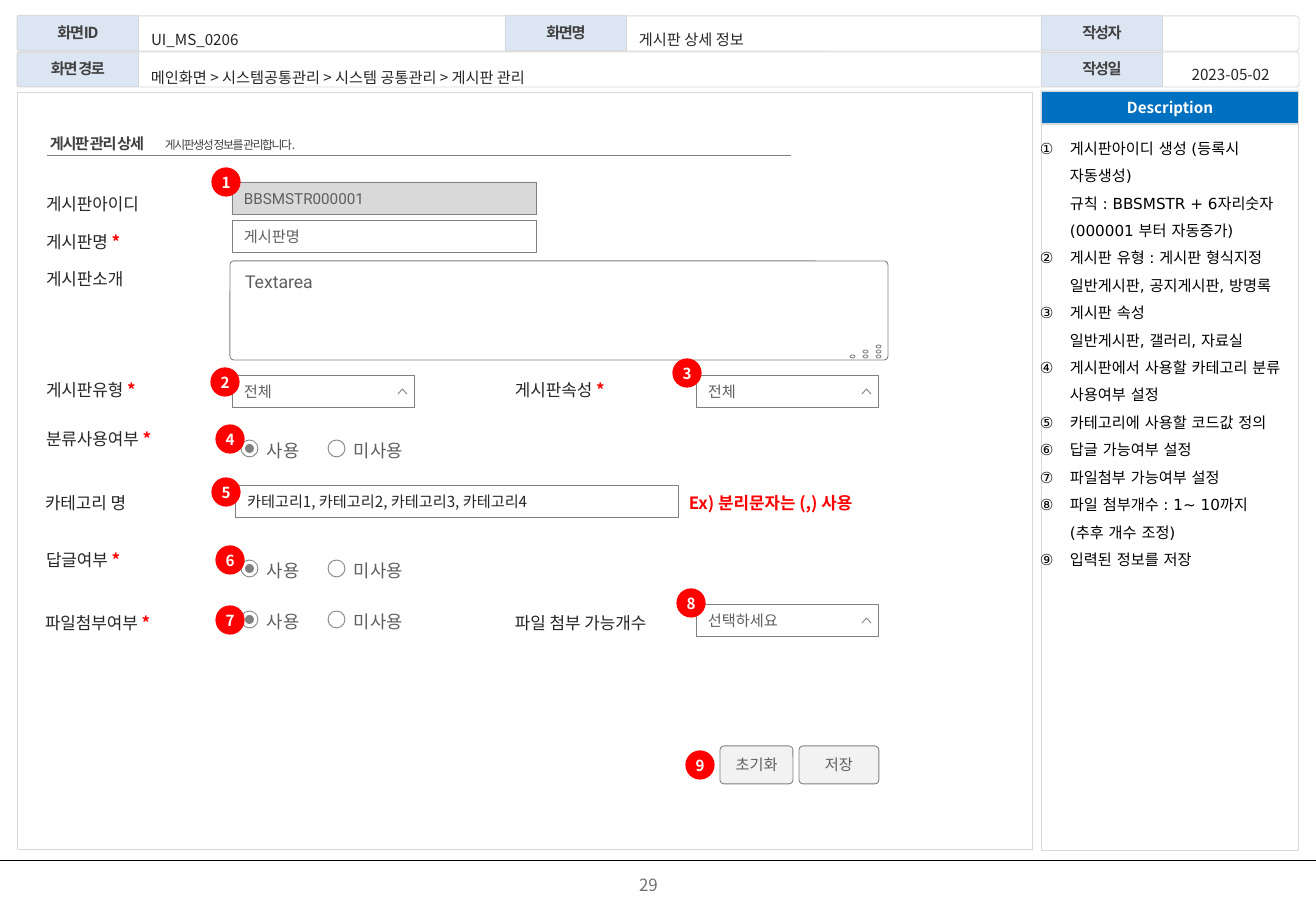
"""Build the board detail screen specification slide."""
from lxml.etree import SubElement
from pptx import Presentation
from pptx.dml.color import RGBColor
from pptx.enum.shapes import MSO_CONNECTOR, MSO_SHAPE
from pptx.enum.text import MSO_ANCHOR, PP_ALIGN
from pptx.oxml.ns import qn
from pptx.util import Emu, Pt

SCALE = 914400 / 121.5
KR, ROBOTO, DEJAVU = "Noto Sans CJK KR", "Roboto", "DejaVu Sans"
C = dict(black="000000", white="FFFFFF", red="FF0000", blue="0070C0", pale="DCE6F2",
         frame="D9D9D9", border="808080", button="F2F2F2", ink="262626",
         head="404040", field="5F5F5F", page="717171")

HEADERS = [("화면ID", 17, 16), ("화면명", 505, 16), ("작성자", 1041, 16),
           ("화면 경로", 17, 52), ("작성일", 1041, 52)]
VALUES = [("UI_MS_0206", 141, 16, 363), ("게시판 상세 정보", 629, 16, 412),
          ("메인화면 > 시스템공통관리 > 시스템 공통관리 > 게시판 관리", 141, 54, 899)]
LABELS = [("게시판아이디", 46, 179), ("게시판명 *", 46, 217), ("게시판소개", 46, 254),
          ("게시판유형 *", 46, 365), ("게시판속성 *", 515, 365), ("분류사용여부 *", 46, 414),
          ("카테고리 명", 45, 478), ("답글여부 *", 46, 535), ("파일첨부여부 *", 45, 598),
          ("파일 첨부 가능개수", 515, 598)]
INPUTS = [("BBSMSTR000001", 232, 182, 305, "frame", "field", ROBOTO),
          ("게시판명", 232, 220, 305, "white", "field", ROBOTO),
          ("카테고리1, 카테고리2, 카테고리3, 카테고리4", 235, 485, 443, "white", "ink", KR)]
SELECTS = [("전체", 232, 375), ("전체", 696, 375), ("선택하세요", 696, 604)]
RADIO_ROWS = [440, 560, 611]
OPTIONS = [("사용", 241, True), ("미사용", 328, False)]
BUTTONS = [("초기화", 720, 73), ("저장", 799, 80)]
BADGES = [(212, 168), (211, 368), (673, 359), (216, 425), (212, 478),
          (216, 546), (216, 606), (677, 589), (686, 751)]
DESCRIPTION = [
    "게시판아이디 생성 (등록시 자동생성)\n규칙 : BBSMSTR + 6자리숫자 (000001 부터 자동증가)",
    "게시판 유형 : 게시판 형식지정\n일반게시판, 공지게시판, 방명록",
    "게시판 속성\n일반게시판, 갤러리, 자료실",
    "게시판에서 사용할 카테고리 분류 사용여부 설정",
    "카테고리에 사용할 코드값 정의",
    "답글 가능여부 설정",
    "파일첨부 가능여부 설정",
    "파일 첨부개수 : 1~ 10까지\n(추후 개수 조정)",
    "입력된 정보를 저장",
]

prs = Presentation()
prs.slide_width, prs.slide_height = Emu(round(1316 * SCALE)), Emu(round(911 * SCALE))
s = prs.slides.add_slide(prs.slide_layouts[6])


def px(*vals):
    return [Emu(round(v * SCALE)) for v in vals]


def rgb(name):
    return RGBColor.from_string(C[name])


def paint(sp, fill=None, line=None, width=0.5):
    sp.shadow.inherit = False
    if fill:
        sp.fill.solid()
        sp.fill.fore_color.rgb = rgb(fill)
    else:
        sp.fill.background()
    if line:
        sp.line.color.rgb = rgb(line)
        sp.line.width = Pt(width)
    else:
        sp.line.fill.background()
    return sp


def shape(kind, x, y, w, h, fill=None, line=None, adj=None, width=0.5):
    sp = s.shapes.add_shape(kind, *px(x, y, w, h))
    if adj is not None:
        sp.adjustments[0] = adj
    return paint(sp, fill, line, width)


def box(x, y, w, h):
    return s.shapes.add_textbox(*px(x, y, w, h))


def write(sp, text, size=9, font=KR, color="ink", bold=False, align=PP_ALIGN.LEFT,
          spacing=None, after=0, track=None, anchor=MSO_ANCHOR.MIDDLE, wrap=False,
          inset=(0, 0, 0, 0), numbered=False):
    tf = sp.text_frame
    tf.word_wrap, tf.vertical_anchor = wrap, anchor
    tf.margin_left, tf.margin_top, tf.margin_right, tf.margin_bottom = px(*inset)
    for i, item in enumerate([text] if isinstance(text, str) else text):
        p = tf.add_paragraph() if i else tf.paragraphs[0]
        p.alignment, p.line_spacing, p.space_after = align, spacing, Pt(after)
        if numbered:
            pPr = p._p.get_or_add_pPr()
            indent = px(30)[0]
            pPr.set("marL", str(indent))
            pPr.set("indent", str(-indent))
            SubElement(pPr, qn("a:buAutoNum"), type="circleNumDbPlain")
        label, star, _ = item.partition(" *")
        for j, line in enumerate(label.split("\n") + ([star] if star else [])):
            required = bool(star) and line == star
            if j and not required:
                p.add_line_break()
            r = p.add_run()
            r.text = line
            r.font.size, r.font.name = Pt(size), font
            r.font.bold = bold or required
            r.font.color.rgb = rgb("red" if required else color)
            rPr = r._r.get_or_add_rPr()
            SubElement(rPr, qn("a:ea"), typeface=font)
            if track:
                rPr.set("spc", str(track))


def rule(x1, x2, y, color):
    cn = s.shapes.add_connector(MSO_CONNECTOR.STRAIGHT, *px(x1, y, x2, y))
    cn.line.color.rgb, cn.line.width = rgb(color), Pt(0.5)
    SubElement(cn._element.spPr, qn("a:effectLst"))


def chevron(x, y):
    (x0, x1, x2, top, bottom) = px(x, x + 4.5, x + 9, y, y + 5)
    fb = s.shapes.build_freeform(x0, bottom)
    fb.add_line_segments([(x1, top), (x2, bottom)], close=False)
    paint(fb.convert_to_shape(), line="border")


RECT, ROUND, OVAL = MSO_SHAPE.RECTANGLE, MSO_SHAPE.ROUNDED_RECTANGLE, MSO_SHAPE.OVAL
CENTER = PP_ALIGN.CENTER

write(box(495, 866, 307, 38), "29", size=10, color="page", align=CENTER, wrap=True)
rule(0, 1316, 860, "black")
for y in (16, 52):
    shape(ROUND, 17, y, 1282, 35, line="frame", adj=0.08)
for text, x, y in HEADERS:
    write(shape(RECT, x, y, 122, 35, "pale", "frame"), text, color="head", bold=True,
          align=CENTER, spacing=0.9, track=-80, wrap=True)
for text, x, y, w in VALUES:
    write(box(x, y, w, 38), text, spacing=1.5, wrap=True, inset=(10, 0, 0, 0))
write(box(1165, 53, 131, 33), "2023-05-02", align=CENTER, spacing=1.5, wrap=True)

shape(RECT, 17, 92, 1016, 758, line="frame")
shape(RECT, 1041, 124, 258, 727, line="frame")
write(shape(RECT, 1041, 91, 258, 32, "blue", "frame"), "Description", color="white",
      bold=True, align=CENTER)
write(box(1040, 130, 259, 718), DESCRIPTION, font=DEJAVU, color="black", spacing=1.5,
      anchor=MSO_ANCHOR.TOP, wrap=True, numbered=True)

rule(47, 791, 155, "border")
write(box(50, 130, 110, 24), "게시판 관리 상세", color="head", bold=True, spacing=1.2,
      track=-80, wrap=True)
write(box(165, 130, 327, 26), "게시판생성 정보를 관리합니다.", size=7, color="head",
      spacing=1.2, track=-80, wrap=True)
for text, x, y in LABELS:
    write(box(x, y, 160, 40), text, size=10, spacing=1.5, wrap=True)
write(box(689, 478, 230, 40), "Ex) 분리문자는 (,) 사용", size=10, color="red", bold=True,
      spacing=1.5, wrap=True)

for text, x, y, w, fill, color, font in INPUTS:
    write(shape(RECT, x, y, w, 33, fill, "border"), text, font=font, color=color,
          wrap=True, inset=(12, 0, 12, 0))
write(shape(ROUND, 230, 261, 658, 99, "white", "border", 0.04), "Textarea", size=10.5,
      font=ROBOTO, color="field", anchor=MSO_ANCHOR.TOP, wrap=True, inset=(14, 9, 14, 9))
for col in range(3):
    for row in range(col + 1):
        shape(OVAL, 850 + 13 * col, 355 - 5 * row, 5, 3, "white", "border")
for text, x, y in SELECTS:
    write(shape(RECT, x, y, 183, 33, "white", "border"), text, font=ROBOTO, color="field",
          wrap=True, inset=(12, 0, 34, 0))
    chevron(x + 166, y + 14)
for y in RADIO_ROWS:
    for text, x, chosen in OPTIONS:
        shape(OVAL, x, y, 17, 17, "white", "border")
        if chosen:
            shape(OVAL, x + 4, y + 4, 9, 9, "border")
        write(box(x + 26, y - 4, 60, 24), text, size=10.5, font=ROBOTO, color="field",
              spacing=1.25, after=5, wrap=True)
for text, x, w in BUTTONS:
    write(shape(ROUND, x, 746, w, 38, "button", "border", 0.11), text, color="field",
          align=CENTER)
for i, (x, y) in enumerate(BADGES, 1):
    write(shape(OVAL, x, y, 28, 28, "red", "red", width=0.75), str(i), color="white",
          bold=True, align=CENTER)

prs.save("out.pptx")
